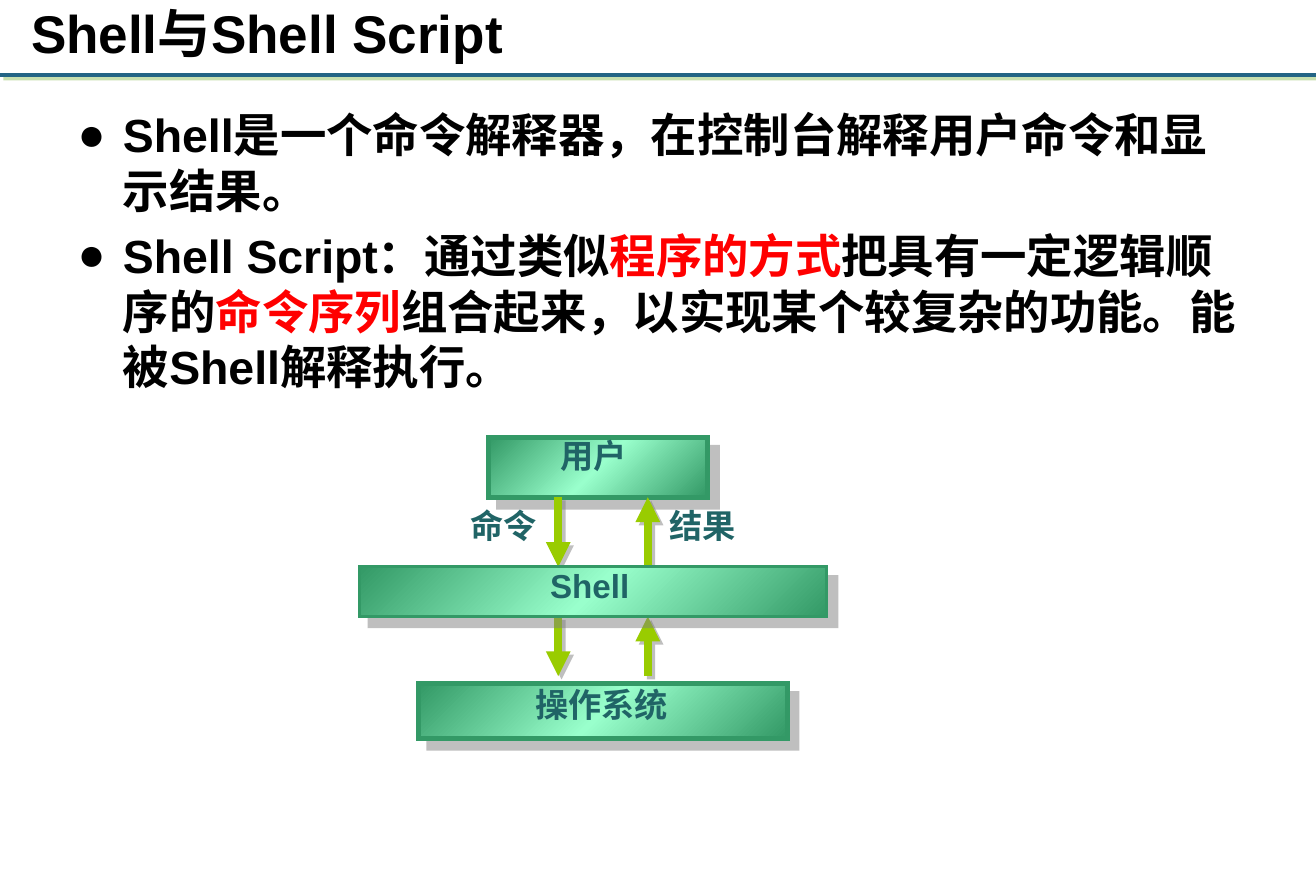
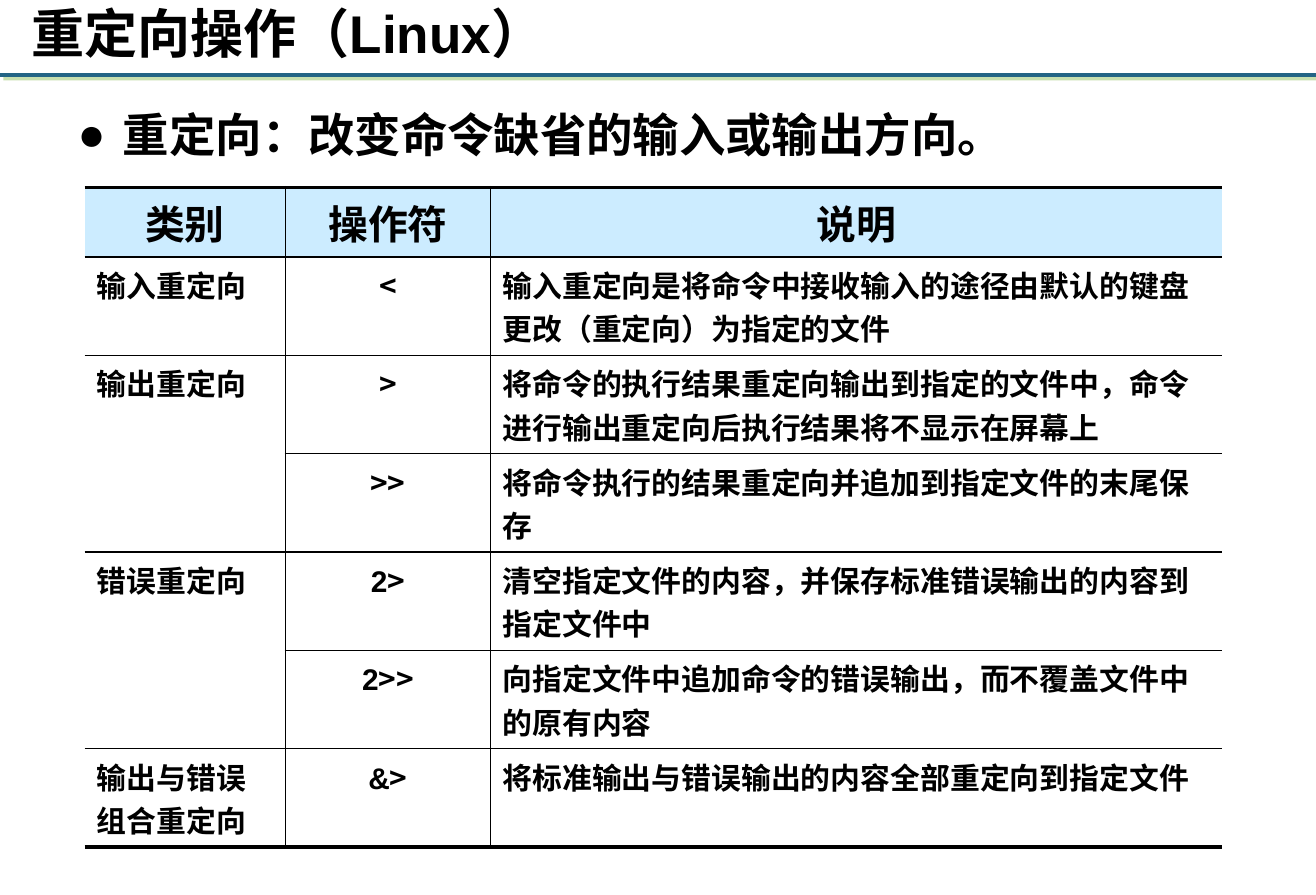
from copy import deepcopy

from lxml import etree
from pptx import Presentation
from pptx import util as u
from pptx.dml.color import RGBColor
from pptx.enum import shapes, text
from pptx.oxml.ns import qn

WIDTH, HEIGHT = u.Cm(28), u.Cm(19.05)
UNIT, ORIGIN = 1 / 12, 0.01
LATIN, CJK = "Arial", "Noto Sans CJK SC"

BLACK = RGBColor(0x00, 0x00, 0x00)
RED = RGBColor(0xFF, 0x00, 0x00)
TEAL = RGBColor(0x23, 0x64, 0x85)
PALE_GREEN = RGBColor(0x90, 0xC0, 0x60)
GREY = RGBColor(0x80, 0x80, 0x80)
LIME = RGBColor(0x99, 0xCC, 0x00)
GREEN = RGBColor(0x33, 0x99, 0x66)
MINT = RGBColor(0x99, 0xFF, 0xCC)
LABEL = RGBColor(0x20, 0x64, 0x66)
SKY = RGBColor(0xCC, 0xEC, 0xFF)

THIN, THICK = 1, 2.25
COLUMN_WIDTHS = (1.68, 1.72, 6.13)
ROW_HEIGHTS = (0.41, 0.65, 0.57, 0.69, 0.64, 0.63, 0.57)
HEADINGS = ("类别", "操作符", "说明")
REDIRECTIONS = (
    ("输入重定向", "<", "输入重定向是将命令中接收输入的途径由默认的键盘更改（重定向）为指定的文件"),
    ("输出重定向", ">", "将命令的执行结果重定向输出到指定的文件中，命令进行输出重定向后执行结果将不显示在屏幕上"),
    ("", ">>", "将命令执行的结果重定向并追加到指定文件的末尾保存"),
    ("错误重定向", "2>", "清空指定文件的内容，并保存标准错误输出的内容到指定文件中"),
    ("", "2>>", "向指定文件中追加命令的错误输出，而不覆盖文件中的原有内容"),
    ("输出与错误组合重定向", "&>", "将标准输出与错误输出的内容全部重定向到指定文件"),
)


def add_node(parent, tag, **attributes):
    """Append a drawing element with the given attributes."""
    node = etree.SubElement(parent, qn(f"a:{tag}"))
    for key, value in attributes.items():
        node.set(key, str(value))
    return node


def place(shape, left, top, width, height):
    """Position a shape in inches."""
    shape.left, shape.top = u.Inches(left), u.Inches(top)
    shape.width, shape.height = u.Inches(width), u.Inches(height)


def grid(column, row, width, height):
    """Turn diagram grid units into lengths."""
    return (u.Inches(ORIGIN + column * UNIT), u.Inches(row * UNIT),
            u.Inches(width * UNIT), u.Inches(height * UNIT))


def add_span(para, words, size, colour=BLACK, latin=LATIN):
    """Add one bold run to a paragraph."""
    span = para.add_run()
    span.text = words
    span.font.size, span.font.bold = u.Pt(size), True
    span.font.color.rgb = colour
    span.font.name = latin
    add_node(span.font._element, "ea", typeface=CJK)


def add_shadow(shape, colour, distance):
    """Give a shape a hard half-transparent shadow to the lower right."""
    effects = add_node(shape.element.spPr, "effectLst")
    shadow = add_node(effects, "outerShdw", blurRad=0, dist=u.Pt(distance),
                      dir=2700000, algn="ctr", rotWithShape=0)
    add_node(add_node(shadow, "srgbClr", val=colour), "alpha", val=50000)


def add_line(page, start, end, colour, width, shadow):
    """Draw a straight line between two points given as lengths."""
    line = page.shapes.add_connector(shapes.MSO_CONNECTOR.STRAIGHT, *start, *end)
    line.line.color.rgb, line.line.width = colour, u.Pt(width)
    add_shadow(line, shadow, 2.8)
    return line


def add_arrow(page, column, start_row, end_row):
    """Draw a vertical arrow between two grid rows."""
    start, end = (grid(column, row, 0, 0)[:2] for row in (start_row, end_row))
    arrow = add_line(page, start, end, LIME, 5, GREY)
    add_node(arrow.line._ln, "tailEnd", type="triangle")


def add_label(page, words, column, row, width):
    """Add a diagram label."""
    box = page.shapes.add_textbox(*grid(column, row, width, 4.4))
    box.text_frame.word_wrap = True
    para = box.text_frame.paragraphs[0]
    para.line_spacing = 0.8
    add_span(para, words, 20, LABEL)


def add_layer(page, column, row, width, height, border):
    """Draw one gradient block of the diagram."""
    layer = page.shapes.add_shape(shapes.MSO_SHAPE.RECTANGLE,
                                  *grid(column, row, width, height))
    layer.fill.gradient()
    layer.fill.gradient_angle = 315
    stops = layer.element.spPr.find(".//" + qn("a:gsLst"))
    stops.append(deepcopy(stops[0]))
    for stop, position, colour in zip(layer.fill.gradient_stops, (0, 0.5, 1),
                                      (GREEN, MINT, GREEN)):
        stop.position, stop.color.rgb = position, colour
    layer.line.color.rgb, layer.line.width = GREEN, u.Pt(border)
    add_node(layer.line._ln, "miter", lim=800000)
    add_shadow(layer, GREY, 8.5)


def add_page(deck, title, bullets):
    """Add a slide with a title and a bulleted body."""
    page = deck.slides.add_slide(deck.slide_layouts[1])
    heading, body = page.placeholders
    place(heading, 0.16, -0.04, 5.75, 0.63)
    place(body, 0.55, 0.84, 9.92, 5.86)
    for holder in (heading, body):
        holder.text_frame.auto_size = text.MSO_AUTO_SIZE.NONE
    heading.text_frame.vertical_anchor = text.MSO_ANCHOR.MIDDLE
    para = heading.text_frame.paragraphs[0]
    para.alignment = text.PP_ALIGN.LEFT
    add_span(para, title, 32)
    for index, spans in enumerate(bullets):
        para = body.text_frame.add_paragraph() if index else body.text_frame.paragraphs[0]
        properties = para._p.get_or_add_pPr()
        properties.set("marL", str(u.Inches(0.38)))
        properties.set("indent", str(u.Inches(-0.38)))
        add_node(properties, "buFont", typeface=LATIN)
        add_node(properties, "buChar", char="●")
        para.space_before = u.Pt(5.6 if index else 0)
        for words, colour in spans:
            add_span(para, words, 28, colour)
    return page


def add_title_rule(deck, page):
    """Put the line under the titles on the slide master."""
    height = u.Inches(0.63)
    rule = add_line(page, (0, height), (WIDTH, height), TEAL, 2.25, PALE_GREEN)
    rule.element.nvCxnSpPr.cNvPr.set("id", "20")
    deck.slide_master.shapes.element.append(rule.element)


def add_diagram(page):
    """Draw how the user, the shell and the system exchange data."""
    down, up = 56, 65
    add_arrow(page, down, 62, 68)
    add_arrow(page, up, 68, 62)
    add_layer(page, 49, 44, 22, 6, 3)
    add_label(page, "用户", 55, 44, 12)
    add_arrow(page, down, 50, 57)
    add_label(page, "命令", 46, 51, 11)
    add_arrow(page, up, 57, 50)
    add_label(page, "结果", 66, 51, 12)
    add_layer(page, 42, 68.75, 37, 5.5, 3)
    add_label(page, "操作系统", 52.5, 69, 21)
    add_layer(page, 36, 57, 47, 5, 2)
    add_label(page, "Shell", 54, 57, 13)


def set_borders(cell, left, right, top, bottom):
    """Set the four border widths of a cell in points, zero for none."""
    properties = cell._tc.get_or_add_tcPr()
    for index, (side, width) in enumerate(zip("LRTB", (left, right, top, bottom))):
        edge = add_node(properties, f"ln{side}", w=u.Pt(width))
        if width:
            add_node(add_node(edge, "solidFill"), "srgbClr", val=BLACK)
        else:
            add_node(edge, "noFill")
        properties.insert(index, edge)


def fill_cell(cell, words, column, is_header):
    """Write the text and the fill of a table cell."""
    para = cell.text_frame.paragraphs[0]
    centred = is_header or column == 1
    para.alignment = text.PP_ALIGN.CENTER if centred else text.PP_ALIGN.LEFT
    if is_header:
        cell.fill.solid()
        cell.fill.fore_color.rgb = SKY
    else:
        cell.fill.background()
    size = 24 if is_header else 18
    if column == 1 and not is_header:
        signs = words.lstrip("2&")
        prefix = words[:len(words) - len(signs)]
        if prefix:
            add_span(para, prefix, size)
        add_span(para, signs, size, latin=CJK)
    elif words:
        add_span(para, words, size)


def add_redirection_table(page):
    """Add the table of redirection operators."""
    rows = (HEADINGS, *REDIRECTIONS)
    last_row, last_column = len(rows) - 1, len(HEADINGS) - 1
    table = page.shapes.add_table(len(rows), len(HEADINGS), u.Inches(0.71), u.Inches(1.57),
                                  u.Inches(sum(COLUMN_WIDTHS)),
                                  u.Inches(sum(ROW_HEIGHTS))).table
    table.first_row = table.horz_banding = False
    for column, width in zip(table.columns, COLUMN_WIDTHS):
        column.width = u.Inches(width)
    for row, height in zip(table.rows, ROW_HEIGHTS):
        row.height = u.Inches(height)
    for index, row in enumerate(rows):
        if not row[0]:
            table.cell(index - 1, 0).merge(table.cell(index, 0))
    for r, row in enumerate(rows):
        for c, words in enumerate(row):
            cell = table.cell(r, c)
            fill_cell(cell, words, c, r == 0)
            top = 0 if cell.is_spanned else THIN if r else THICK
            set_borders(cell, THIN if c else 0, THIN if c < last_column else 0,
                        top, THIN if r < last_row else THICK)


def main():
    """Build and save the deck."""
    deck = Presentation()
    deck.slide_width, deck.slide_height = WIDTH, HEIGHT
    deck.element.sldSz.attrib.pop("type", None)
    shell = add_page(deck, "Shell与Shell Script", (
        (("Shell是一个命令解释器，在控制台解释用户命令和显示结果。", BLACK),),
        (("Shell Script：通过类似", BLACK), ("程序的方式", RED),
         ("把具有一定逻辑顺序的", BLACK), ("命令序列", RED),
         ("组合起来，以实现某个较复杂的功能。能被Shell解释执行。", BLACK)),
    ))
    add_title_rule(deck, shell)
    add_diagram(shell)
    redirection = add_page(deck, "重定向操作（Linux）", (
        (("重定向：改变命令缺省的输入或输出方向。", BLACK),),
    ))
    add_redirection_table(redirection)
    deck.save("out.pptx")


if __name__ == "__main__":
    main()
